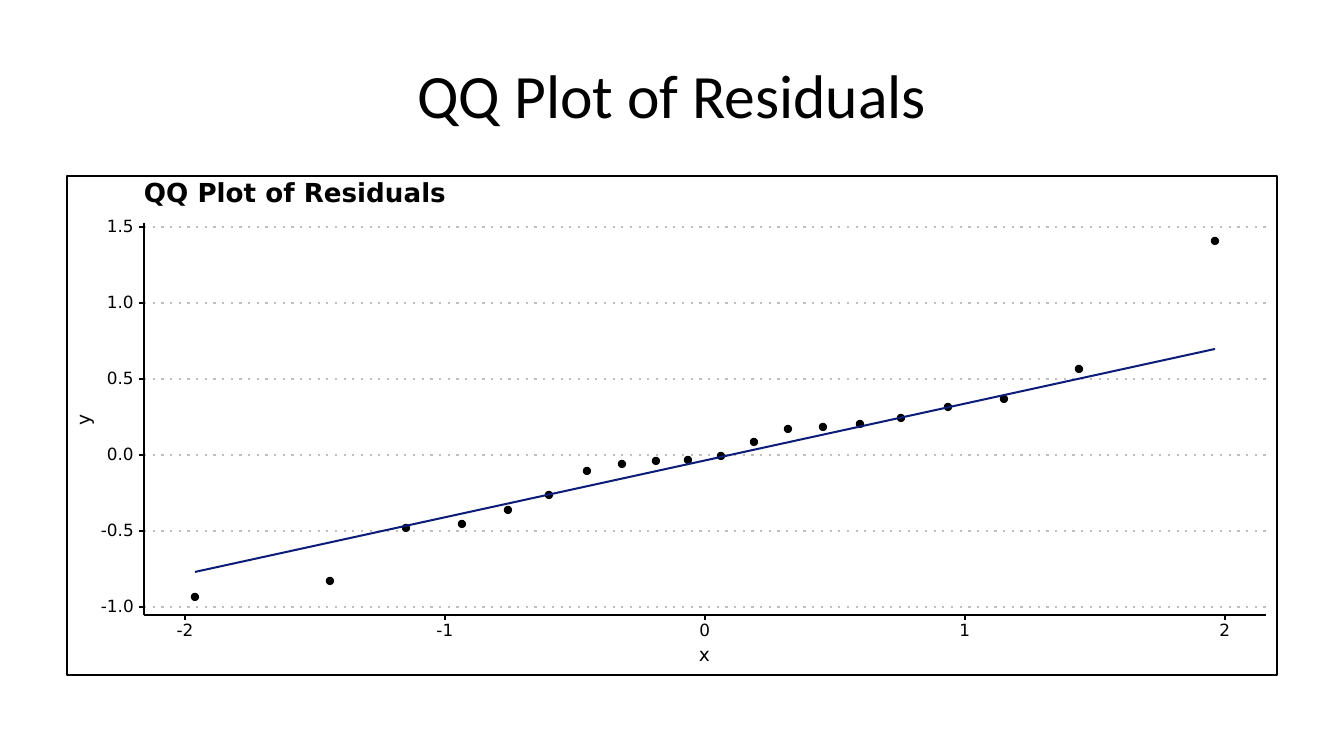
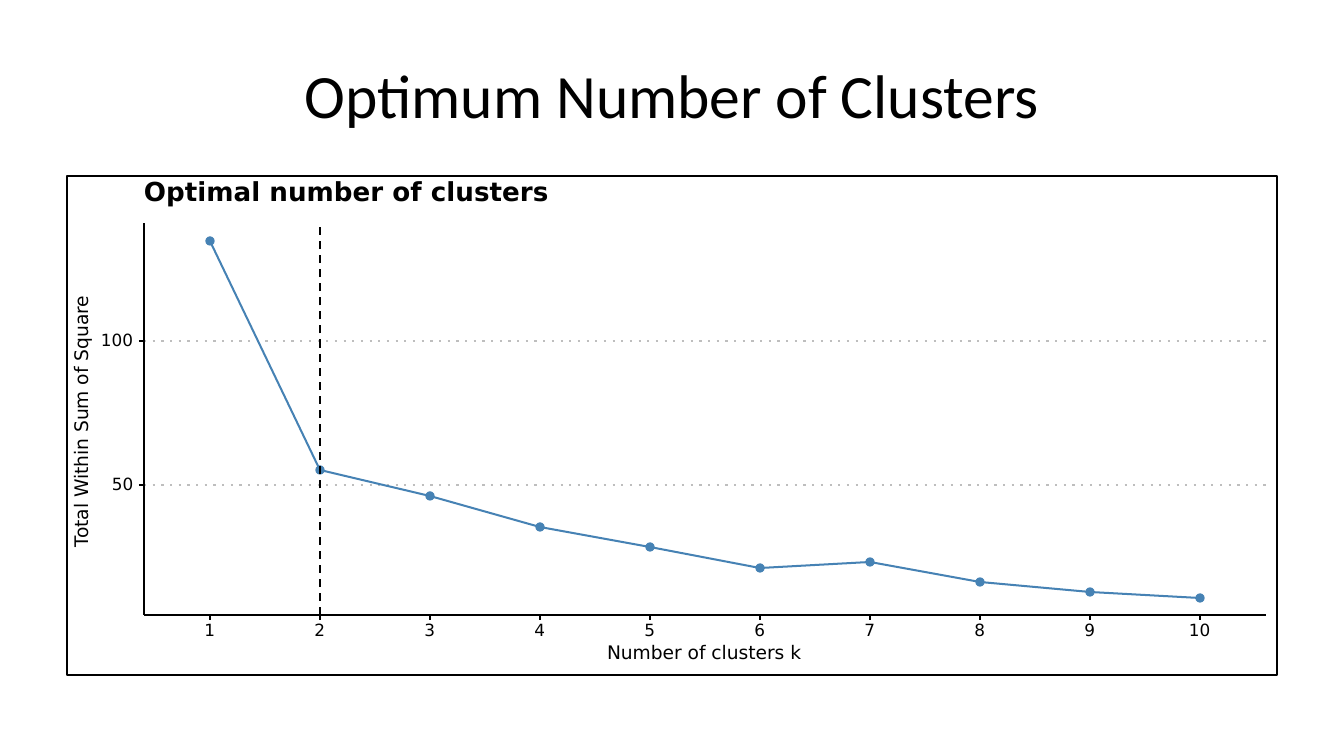
from lxml.etree import SubElement
from pptx import Presentation
from pptx.dml.color import RGBColor
from pptx.enum.shapes import MSO_CONNECTOR as CONN, MSO_SHAPE as SHAPE
from pptx.enum.text import MSO_ANCHOR as ANCHOR, MSO_AUTO_SIZE as AUTO, PP_ALIGN as ALIGN
from pptx.oxml.ns import qn
from pptx.util import Pt

BLACK = RGBColor(0x00, 0x00, 0x00)
WHITE = RGBColor(0xFF, 0xFF, 0xFF)
GRID = RGBColor(0xBE, 0xBE, 0xBE)
NAVY = RGBColor(0x0B, 0x1D, 0x78)
STEEL = RGBColor(0x46, 0x82, 0xB4)
TITLE_FONT = "Calibri"
PLOT_FONT = "DejaVu Sans"
THIN, MEDIUM = 1.07, 1.16
LEFT, RIGHT, TOP, BOTTOM = 144, 1266, 223, 615
TICK = 5
LABEL_H = 12
CHAR_W = {"-": 6, ".": 5}

RESIDUALS = [
    (195, 597), (330, 581), (406, 528), (462, 524), (508, 510),
    (549, 495), (587, 471), (622, 464), (656, 461), (688, 460),
    (721, 456), (754, 442), (788, 429), (823, 427), (860, 424),
    (901, 418), (948, 407), (1004, 399), (1079, 369), (1215, 241),
]
FIT_LINE = [(195, 572), (1215, 349)]
CLUSTER_X = [210 + 110 * i for i in range(10)]
CLUSTER_Y = [241, 470, 496, 527, 547, 568, 562, 582, 592, 598]


def px(*values):
    return [round(v * 914400 / 134.4) for v in values]


def style_line(line, color, width):
    line.color.rgb = color
    line.width = Pt(width)


def straight(g, x1, y1, x2, y2, color=BLACK, width=MEDIUM, dash=None):
    c = g.shapes.add_connector(CONN.STRAIGHT, *px(x1, y1, x2, y2))
    style_line(c.line, color, width)
    props = c.element.spPr
    if dash:
        SubElement(props.find(qn("a:ln")), qn("a:prstDash")).set("val", dash)
    SubElement(props, qn("a:effectLst"))


def preset(g, kind, x, y, w, h, fill, line, width):
    sp = g.shapes.add_shape(kind, *px(x, y, w, h))
    sp.shadow.inherit = False
    sp.fill.solid()
    sp.fill.fore_color.rgb = fill
    style_line(sp.line, line, width)


def polyline(g, points, color):
    start, *rest = [px(*point) for point in points]
    builder = g.shapes.build_freeform(*start)
    builder.add_line_segments(rest, close=False)
    sp = builder.convert_to_shape()
    sp.shadow.inherit = False
    sp.fill.background()
    style_line(sp.line, color, THIN)


def dots(g, points, size, color):
    for x, y in points:
        preset(g, SHAPE.OVAL, x - size / 2, y - size / 2, size, size, color, color, 0.71)


def text(g, words, x, y, w, h, size, bold=False, rotation=0):
    sp = g.shapes.add_textbox(*px(x, y, w, h))
    sp.rotation = rotation
    tf = sp.text_frame
    tf.text = words
    tf.word_wrap = False
    tf.auto_size = AUTO.NONE
    tf.vertical_anchor = ANCHOR.MIDDLE
    tf.margin_left = tf.margin_right = tf.margin_top = tf.margin_bottom = 0
    p = tf.paragraphs[0]
    p.line_spacing = Pt(size)
    f = p.runs[0].font
    f.name, f.size, f.bold = PLOT_FONT, Pt(size), bold
    f.color.rgb = BLACK


def label_width(label):
    return sum(CHAR_W.get(char, 11) for char in label)


def start_plot(prs, title, y_ticks):
    s = prs.slides.add_slide(prs.slide_layouts[5])
    sp = s.shapes.title
    sp.left, sp.top, sp.width, sp.height = px(67, 31, 1210, 126)
    tf = sp.text_frame
    tf.text = title
    tf.vertical_anchor = ANCHOR.MIDDLE
    p = tf.paragraphs[0]
    p.alignment = ALIGN.CENTER
    f = p.runs[0].font
    f.name, f.size = TITLE_FONT, Pt(33)
    f.color.rgb = BLACK
    g = s.shapes.add_group_shape()
    preset(g, SHAPE.RECTANGLE, 67, 176, 1210, 499, WHITE, BLACK, MEDIUM)
    for y in y_ticks.values():
        straight(g, LEFT, y, RIGHT, y, GRID, dash="dot")
    return g


def axes(g, x_ticks, y_ticks):
    straight(g, LEFT, BOTTOM, LEFT, TOP, width=THIN)
    for label, y in y_ticks.items():
        w = label_width(label)
        text(g, label, 134 - w, y - LABEL_H / 2, w, LABEL_H, 9)
        straight(g, LEFT - TICK, y, LEFT, y)
    straight(g, LEFT, BOTTOM, RIGHT, BOTTOM, width=THIN)
    for label, x in x_ticks.items():
        w = label_width(label)
        straight(g, x, BOTTOM + TICK, x, BOTTOM)
        text(g, label, x - w / 2, 625, w, LABEL_H, 9)


def qq_slide(prs):
    y_ticks = {f"{-1 + i / 2:.1f}": 607 - 76 * i for i in range(6)}
    x_ticks = {str(n): 705 + 260 * n for n in range(-2, 3)}
    g = start_plot(prs, "QQ Plot of Residuals", y_ticks)
    dots(g, RESIDUALS, 7, BLACK)
    polyline(g, FIT_LINE, NAVY)
    axes(g, x_ticks, y_ticks)
    text(g, "x", 699, 650, 11, 11, 10)
    text(g, "y", 79, 413, 11, 13, 10, rotation=270)
    text(g, "QQ Plot of Residuals", LEFT, 183, 301, 24, 14, bold=True)


def cluster_slide(prs):
    y_ticks = {"50": 485, "100": 341}
    x_ticks = {str(k): x for k, x in enumerate(CLUSTER_X, 1)}
    points = list(zip(CLUSTER_X, CLUSTER_Y))
    g = start_plot(prs, "Optimum Number of Clusters", y_ticks)
    polyline(g, points, STEEL)
    dots(g, points, 8, STEEL)
    straight(g, x_ticks["2"], BOTTOM, x_ticks["2"], TOP, width=THIN, dash="dash")
    axes(g, x_ticks, y_ticks)
    text(g, "Number of clusters k", 607, 646, 195, 15, 10)
    text(g, "Total Within Sum of Square", -46, 410, 257, 17, 10, rotation=270)
    text(g, "Optimal number of clusters", LEFT, 181, 403, 26, 14, bold=True)


def main():
    prs = Presentation()
    prs.slide_width, prs.slide_height = px(1344, 756)
    qq_slide(prs)
    cluster_slide(prs)
    prs.save("out.pptx")


main()
